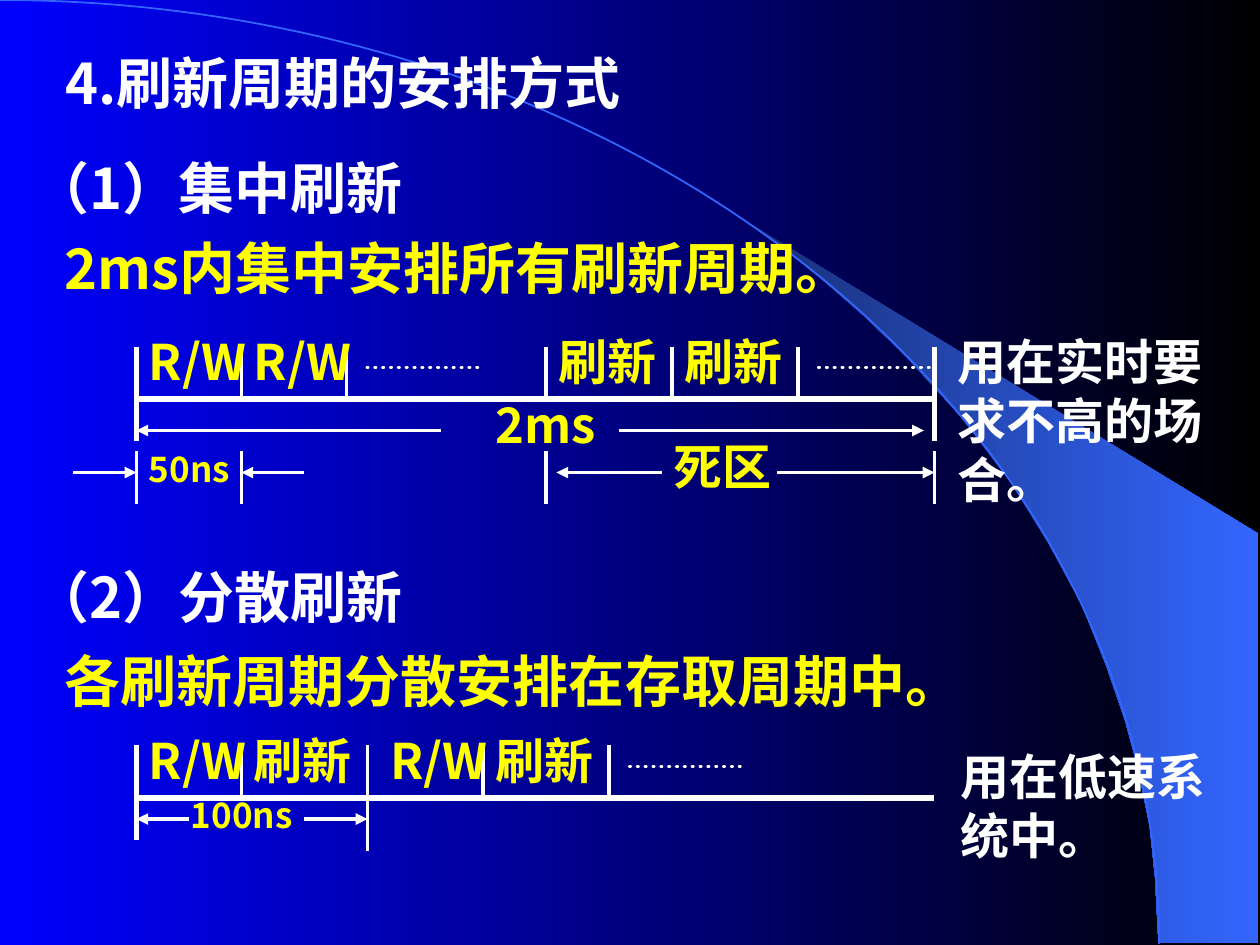
from math import cos, pi, sin

from lxml.etree import SubElement
from pptx import Presentation
from pptx.dml.color import RGBColor
from pptx.enum.dml import MSO_LINE
from pptx.enum.shapes import MSO_CONNECTOR as CONNECTOR
from pptx.enum.text import MSO_ANCHOR, MSO_AUTO_SIZE as AUTO_SIZE, PP_ALIGN
from pptx.oxml.ns import qn
from pptx.util import Pt

FONT = "Noto Sans CJK SC"
WHITE, YELLOW, BLUE = "FFFFFF", "FFFF00", "3366FF"
LEFT, RIGHT = 78, 534
BEAM = [
    (662, 539), (719, 539), (719, 305), (424, 125), (449, 143), (470, 160),
    (493, 180), (516, 202), (549, 238), (578, 276), (599, 310), (618, 345),
    (632, 380), (643, 412), (650, 438), (657, 472), (660, 501), (662, 539),
]


def color(hex_value):
    return RGBColor.from_string(hex_value)


def set_gradient(fill, start, end):
    fill.gradient()
    fill.gradient_angle = 0
    for stop, hex_value in zip(fill.gradient_stops, (start, end)):
        stop.color.rgb = color(hex_value)


def write_text(shape, text, size, hex_value):
    shape.text_frame.text = text
    shape.text_frame.word_wrap = True
    for run in shape.text_frame.paragraphs[0].runs:
        run.font.size = Pt(size)
        run.font.bold = True
        run.font.color.rgb = color(hex_value)
        run.font.name = FONT
        SubElement(run.font._element, qn("a:ea"), typeface=FONT)


def add_text(slide, text, left, top, width, height, size, hex_value):
    shape = slide.shapes.add_textbox(Pt(left), Pt(top), Pt(width), Pt(height))
    write_text(shape, text, size, hex_value)
    shape.text_frame.auto_size = AUTO_SIZE.SHAPE_TO_FIT_TEXT


def add_label(slide, text, left, top, size=28):
    add_text(slide, text, left, top, 102, 41 if size == 28 else 32, size, YELLOW)


def add_title(slide, text):
    title = slide.shapes.title
    title.element.getparent().append(title.element)
    title.left, title.top, title.width, title.height = Pt(30), Pt(24), Pt(462), Pt(46)
    write_text(title, text, 32, WHITE)
    title.text_frame.auto_size = AUTO_SIZE.NONE
    title.text_frame.vertical_anchor = MSO_ANCHOR.TOP
    title.text_frame.paragraphs[0].alignment = PP_ALIGN.LEFT


def add_line(slide, x1, y1, x2, y2, width=2.25):
    connector = slide.shapes.add_connector(
        CONNECTOR.STRAIGHT, Pt(x1), Pt(y1), Pt(x2), Pt(y2))
    connector.line.color.rgb = color(WHITE)
    connector.line.width = Pt(width)
    SubElement(connector._element.spPr, qn("a:effectLst"))
    return connector


def add_arrow(slide, start, end, y):
    connector = add_line(slide, start, y, end, y)
    SubElement(connector.line._get_or_add_ln(), qn("a:tailEnd"), type="triangle")


def add_dots(slide, left, right, y):
    connector = add_line(slide, left, y, right, y)
    connector.line.dash_style = MSO_LINE.ROUND_DOT
    connector.line._get_or_add_ln().set("cap", "rnd")


def add_outline(slide, points, close):
    points = [(Pt(x), Pt(y)) for x, y in points]
    builder = slide.shapes.build_freeform(*points[0])
    builder.add_line_segments(points[1:], close=close)
    shape = builder.convert_to_shape()
    shape.shadow.inherit = False
    return shape


def add_backdrop(slide):
    set_gradient(slide.background.fill, "0000FF", "000000")
    beam = add_outline(slide, BEAM, True)
    set_gradient(beam.fill, "182F76", BLUE)
    beam.line.fill.background()
    steps = 90
    angles = [step * pi / 2 / steps for step in range(steps + 1)]
    arc = add_outline(
        slide, [(662.4 * sin(a), 539.3 * (1 - cos(a))) for a in angles], False)
    arc.fill.background()
    arc.line.color.rgb = color(BLUE)
    arc.line.width = Pt(1)


def add_timeline(slide, top, ends, ticks, labels, dots):
    axis = top + 30
    for x in ends:
        add_line(slide, x, top, x, top + 54, 3)
    add_line(slide, LEFT, axis, RIGHT, axis, 3)
    for x in ticks:
        add_line(slide, x, top, x, axis)
    for text, left in labels:
        add_label(slide, text, left, top - 12)
    for left, right in dots:
        add_dots(slide, left, right, top + 12)


def add_section(slide, heading, summary, heading_top, summary_top):
    add_text(slide, heading, 12, heading_top, 372, 46, 32, WHITE)
    add_text(slide, summary, 30, summary_top, 534, 46, 32, YELLOW)


def add_central_refresh(slide):
    add_section(slide, "（1）集中刷新", "2ms内集中安排所有刷新周期。", 84, 130)
    add_timeline(
        slide, 198, [LEFT, RIGHT], [138, 198, 312, 384, 456],
        [("R/W", 78), ("R/W", 138), ("刷新", 312), ("刷新", 384)],
        [(210, 276), (468, 534)])
    for x in (LEFT, 138, 312, RIGHT):
        add_line(slide, x, 258, x, 288)
    for start, end, y in [
        (354, 528, 246), (252, LEFT, 246), (42, LEFT, 270),
        (174, 138, 270), (378, 318, 270), (444, RIGHT, 270),
    ]:
        add_arrow(slide, start, end, y)
    add_label(slide, "2ms", 276, 222)
    add_label(slide, "死区", 378, 246)
    add_label(slide, "50ns", 78, 252, 20)
    add_text(slide, "用在实时要求不高的场合。", 540, 186, 168, 108, 28, WHITE)


def add_distributed_refresh(slide):
    add_section(slide, "（2）分散刷新", "各刷新周期分散安排在存取周期中。", 318, 366)
    add_timeline(
        slide, 426, [LEFT], [138, 210, 276, 348],
        [("R/W", 78), ("刷新", 138), ("R/W", 216), ("刷新", 276)],
        [(360, 426)])
    add_line(slide, 210, 456, 210, 486)
    add_arrow(slide, 108, LEFT, 468)
    add_arrow(slide, 174, 210, 468)
    add_label(slide, "100ns", 102, 450, 20)
    add_text(slide, "用在低速系统中。", 542, 423, 168, 75, 28, WHITE)


def main():
    presentation = Presentation()
    presentation.slide_width, presentation.slide_height = Pt(720), Pt(540)
    slide = presentation.slides.add_slide(presentation.slide_layouts[5])
    add_backdrop(slide)
    add_title(slide, "4.刷新周期的安排方式")
    add_central_refresh(slide)
    add_distributed_refresh(slide)
    presentation.save("out.pptx")


if __name__ == "__main__":
    main()
